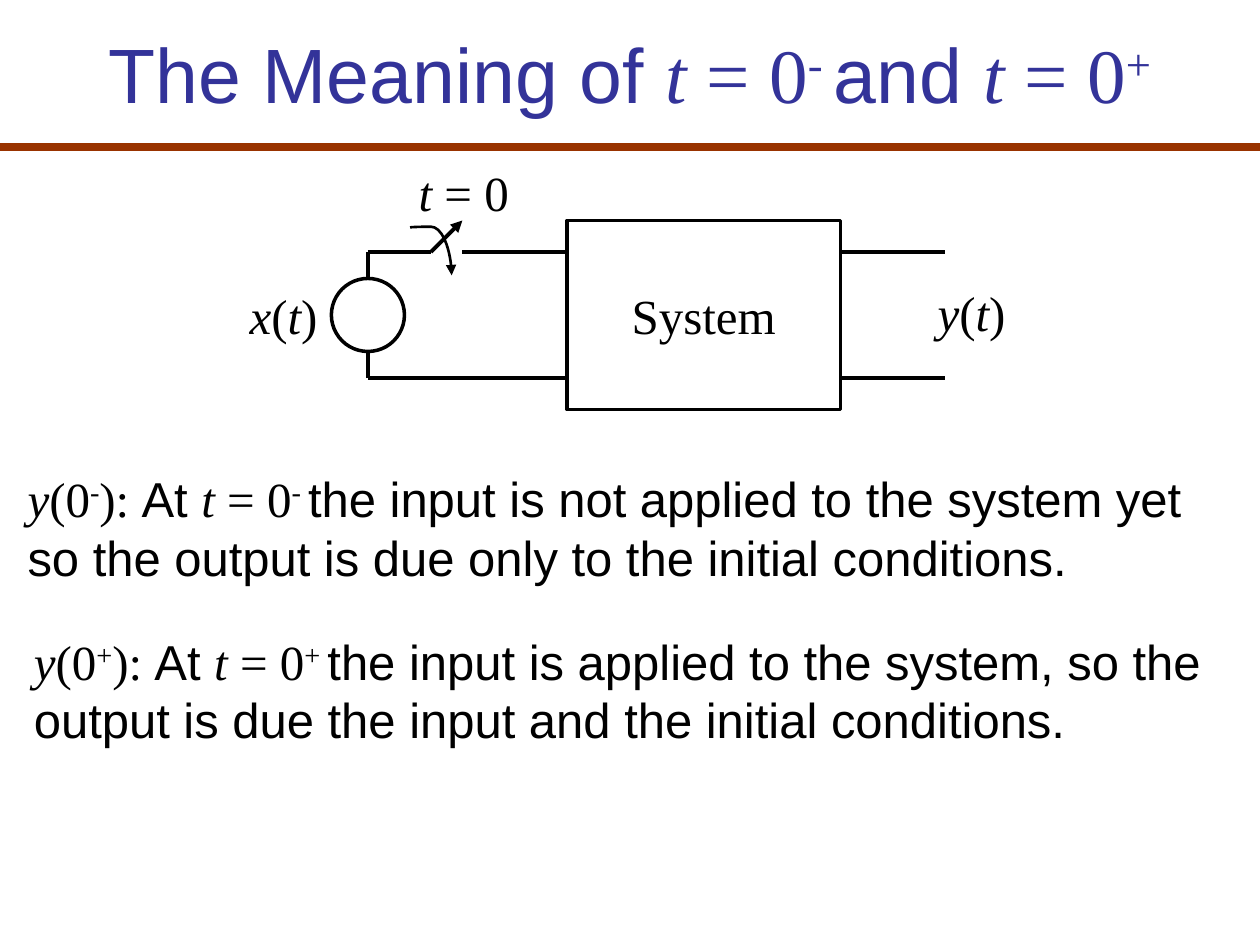
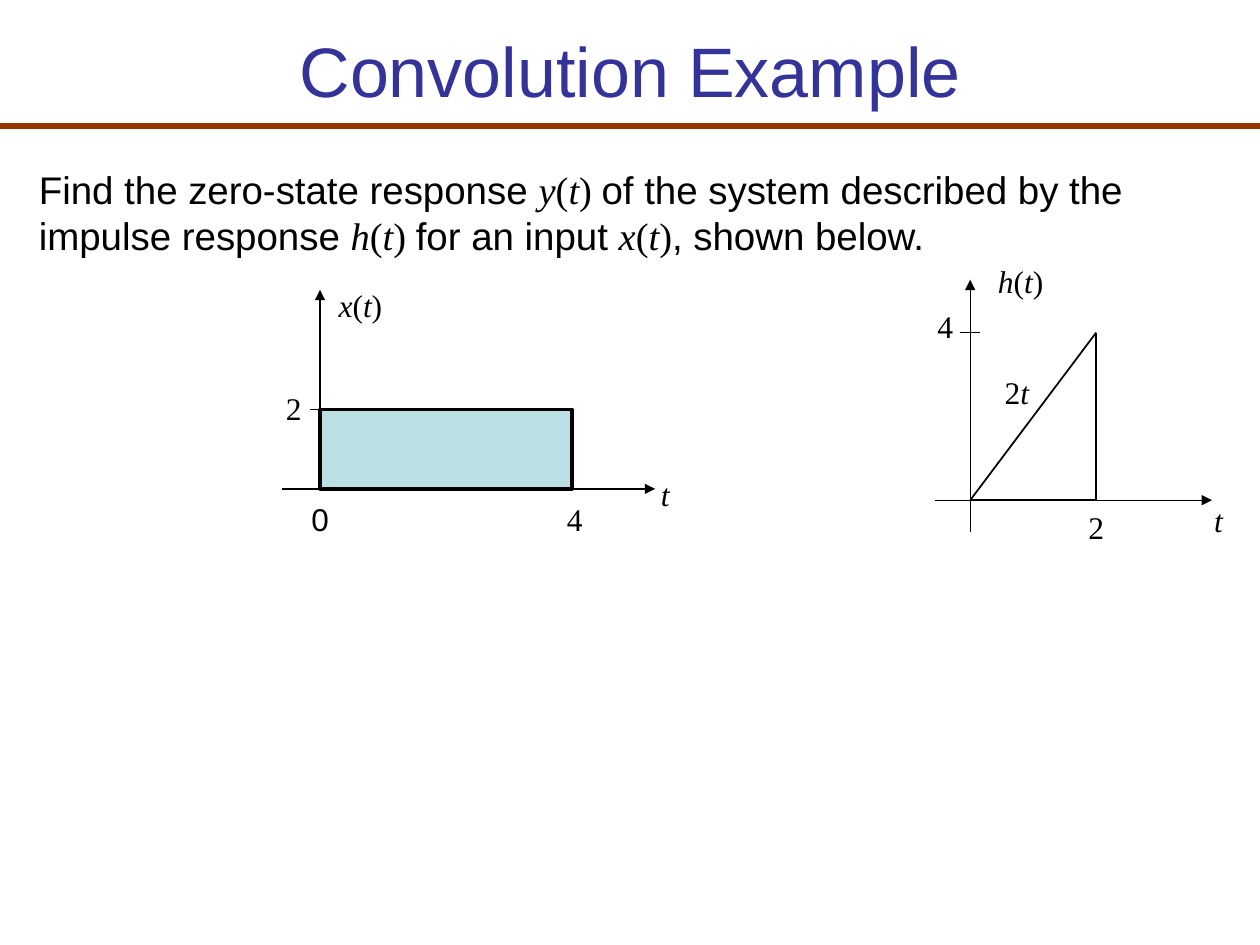
import itertools

import pptx
import pptx.dml.color
import pptx.enum.shapes
import pptx.enum.text
import pptx.oxml.ns
import pptx.util
from lxml import etree

SHAPE = pptx.enum.shapes.MSO_SHAPE
CONNECTOR = pptx.enum.shapes.MSO_CONNECTOR
ALIGN = pptx.enum.text.PP_ALIGN
WIDTH, HEIGHT = 10, 7.5
SANS, SERIF = "Arial", "Times New Roman"
BLACK, TITLE_BLUE, RULE_BROWN, PULSE_FILL = "000000", "333399", "993300", "BBE0E3"

# Text between $ signs is mathematics; ^ switches superscript on and off in it.
MEANING = {
    "title": "The Meaning of $t = 0^- ^$and $t = 0^+^$",
    "title_size": 44, "title_height": 1, "rule": (1.17, 4.5),
    "size": 28,
    "notes": [
        (0.12, 3.67, 9.75, 1.04, "$y(0^-^): $At $t = 0^- ^$the input is not applied "
         "to the system yet so the output is due only to the initial conditions."),
        (0.17, 4.96, 9.75, 1.04, "$y(0^+^): $At $t = 0^+ ^$the input is applied to "
         "the system, so the output is due the input and the initial conditions."),
    ],
}
CONVOLUTION = {
    "title": "Convolution Example",
    "title_size": 40, "title_height": 0.95, "rule": (1, 3),
    "size": 22,
    "notes": [
        (0.21, 1.27, 9.58, 0.84, "Find the zero-state response $y(t) $of the system "
         "described by the impulse response $h(t) $for an input $x(t)$, shown below."),
    ],
}

# Circuit labels: centre, top, width, text
CIRCUIT_LABELS = [(3.68, 1.24, 0.92, "$t = 0$"),
                  (2.25, 2.22, 0.75, "$x(t)$"),
                  (7.71, 2.19, 0.75, "$y(t)$")]

# Axis reaches run left, right, up, down from the origin; labels are offsets from it.
INPUT_PLOT = {
    "origin": (2.54, 3.88), "unit": (0.5, 0.315), "reach": (0.3, 2.66, 1.58, 0),
    "tick": 2,
    "labels": [(0.32, -1.66, 0.55, "$x(t)$"), (2.74, -0.16, 0.27, "$t$"),
               (2.02, 0.04, 0.32, "$4$"), (0, 0.04, 0.7, "0"),
               (-0.21, -0.84, 0.32, "$2$")],
}
IMPULSE_PLOT = {
    "origin": (7.7, 3.97), "unit": (0.5, 0.3325), "reach": (0.28, 1.92, 1.75, 0.25),
    "tick": 4,
    "labels": [(0.4, -1.94, 0.58, "$h(t)$"), (1.97, -0.04, 0.27, "$t$"),
               (1, 0.01, 0.32, "$2$"), (-0.2, -1.58, 0.32, "$4$"),
               (0.37, -1.06, 0.4, "$2t$")],
}
PULSE = (4, 2)                        # duration, height
RAMP = [(0, 0), (2, 4), (2, 0), (0, 0)]


def inches(*lengths):
    return [pptx.util.Inches(length) for length in lengths]


def rgb(color):
    return pptx.dml.color.RGBColor.from_string(color)


def add_run(paragraph, text, size, color, font, italic=False, raised=False):
    run = paragraph.add_run()
    run.text = text
    run.font.size = pptx.util.Pt(size)
    run.font.name = font
    run.font.italic = italic
    run.font.color.rgb = rgb(color)
    if raised:
        run._r.get_or_add_rPr().set("baseline", "30000")


def write(paragraph, marked, size, color=BLACK):
    """Turn marked text into runs, with variables in italics."""
    for position, part in enumerate(marked.split("$")):
        if position % 2 == 0:
            if part:
                add_run(paragraph, part, size, color, SANS)
            continue
        for level, piece in enumerate(part.split("^")):
            for italic, letters in itertools.groupby(piece, str.isalpha):
                add_run(paragraph, "".join(letters), size, color, SERIF,
                        italic, level % 2 == 1)


def line(slide, start, end, width, color=BLACK, arrow=False, kind=CONNECTOR.STRAIGHT):
    connector = slide.shapes.add_connector(kind, *inches(*start, *end))
    connector.line.color.rgb = rgb(color)
    connector.line.width = pptx.util.Pt(width)
    if arrow:
        etree.SubElement(connector.line._get_or_add_ln(),
                         pptx.oxml.ns.qn("a:tailEnd"), type="triangle")
    etree.SubElement(connector._element.spPr, pptx.oxml.ns.qn("a:effectLst"))
    return connector


def outline(slide, kind, left, top, width, height, fill=None):
    shape = slide.shapes.add_shape(kind, *inches(left, top, width, height))
    shape.shadow.inherit = False
    shape.line.color.rgb = rgb(BLACK)
    shape.line.width = pptx.util.Pt(2)
    if fill:
        shape.fill.solid()
        shape.fill.fore_color.rgb = rgb(fill)
    else:
        shape.fill.background()
    return shape


def label(slide, centre, top, width, marked, size):
    box = slide.shapes.add_textbox(*inches(centre - width / 2, top, width, size / 50))
    box.text_frame.word_wrap = False
    paragraph = box.text_frame.paragraphs[0]
    paragraph.alignment = ALIGN.CENTER
    write(paragraph, marked, size)


def start_slide(deck, content):
    """Add a slide with its title, the rule below it and its body notes."""
    slide = deck.slides.add_slide(deck.slide_layouts[5])
    title = slide.shapes.title
    title.left, title.top, title.width, title.height = inches(
        0.5, 0.08, WIDTH - 1, content["title_height"])
    frame = title.text_frame
    frame.auto_size = pptx.enum.text.MSO_AUTO_SIZE.NONE
    frame.vertical_anchor = pptx.enum.text.MSO_ANCHOR.MIDDLE
    frame.paragraphs[0].alignment = ALIGN.CENTER
    write(frame.paragraphs[0], content["title"], content["title_size"], TITLE_BLUE)

    rule_top, rule_width = content["rule"]
    line(slide, (0, rule_top), (WIDTH, rule_top), rule_width, RULE_BROWN)
    for *place, marked in content["notes"]:
        note = slide.shapes.add_textbox(*inches(*place))
        note.text_frame.word_wrap = True
        write(note.text_frame.paragraphs[0], marked, content["size"])
    return slide


def draw_circuit(slide, size):
    upper, lower = 2, 3
    source_x, source_radius = 2.92, 0.29
    switch_left, switch_right = 3.42, 3.67
    system_left, system_right, output_end = 4.5, 6.67, 7.5
    middle = (upper + lower) / 2

    outline(slide, SHAPE.OVAL, source_x - source_radius, middle - source_radius,
            2 * source_radius, 2 * source_radius)
    system = outline(slide, SHAPE.RECTANGLE, system_left, upper - 0.25,
                     system_right - system_left, lower - upper + 0.5)
    name = system.text_frame.paragraphs[0]
    name.alignment = ALIGN.CENTER
    add_run(name, "System", size, BLACK, SERIF)

    wires = [((source_x, middle - source_radius), (source_x, upper)),
             ((source_x, upper), (switch_left, upper)),
             ((switch_right, upper), (system_left, upper)),
             ((source_x, lower), (source_x, middle + source_radius)),
             ((source_x, lower), (system_left, lower))]
    wires += [((system_right, y), (output_end, y)) for y in (upper, lower)]
    for start, end in wires:
        line(slide, start, end, 2.25)
    line(slide, (switch_left, upper), (switch_right, upper - 0.25), 2.25, arrow=True)

    closing = line(slide, (3.61, 1.83), (3.23, 2.16), 1.5, arrow=True,
                   kind=CONNECTOR.CURVE)
    properties = closing._element.spPr
    properties.find(pptx.oxml.ns.qn("a:xfrm")).set("rot", str(270 * 60000))
    bend = properties.find(".//" + pptx.oxml.ns.qn("a:avLst"))
    etree.SubElement(bend, pptx.oxml.ns.qn("a:gd"), name="adj1", fmla="val -1600")

    for place in CIRCUIT_LABELS:
        label(slide, *place, size)


def plot_point(plot, t, value):
    (x, y), (unit_x, unit_y) = plot["origin"], plot["unit"]
    return x + t * unit_x, y - value * unit_y


def draw_axes(slide, plot):
    x, y = plot["origin"]
    left, right, up, down = plot["reach"]
    line(slide, (x - left, y), (x + right, y), 0.75, arrow=True)
    line(slide, (x, y + down), (x, y - up), 0.75, arrow=True)
    tick_y = plot_point(plot, 0, plot["tick"])[1]
    line(slide, (x + 0.08, tick_y), (x - 0.08, tick_y), 1)
    for dx, dy, width, marked in plot["labels"]:
        label(slide, x + dx, y + dy, width, marked, 18)


def main():
    deck = pptx.Presentation()
    deck.slide_width, deck.slide_height = inches(WIDTH, HEIGHT)

    draw_circuit(start_slide(deck, MEANING), MEANING["size"])

    example = start_slide(deck, CONVOLUTION)
    for plot in (INPUT_PLOT, IMPULSE_PLOT):
        draw_axes(example, plot)
    left, bottom = INPUT_PLOT["origin"]
    right, top = plot_point(INPUT_PLOT, *PULSE)
    outline(example, SHAPE.RECTANGLE, left, top, right - left, bottom - top, PULSE_FILL)
    for start, end in itertools.pairwise(RAMP):
        line(example, plot_point(IMPULSE_PLOT, *start),
             plot_point(IMPULSE_PLOT, *end), 1)

    deck.save("out.pptx")


if __name__ == "__main__":
    main()
